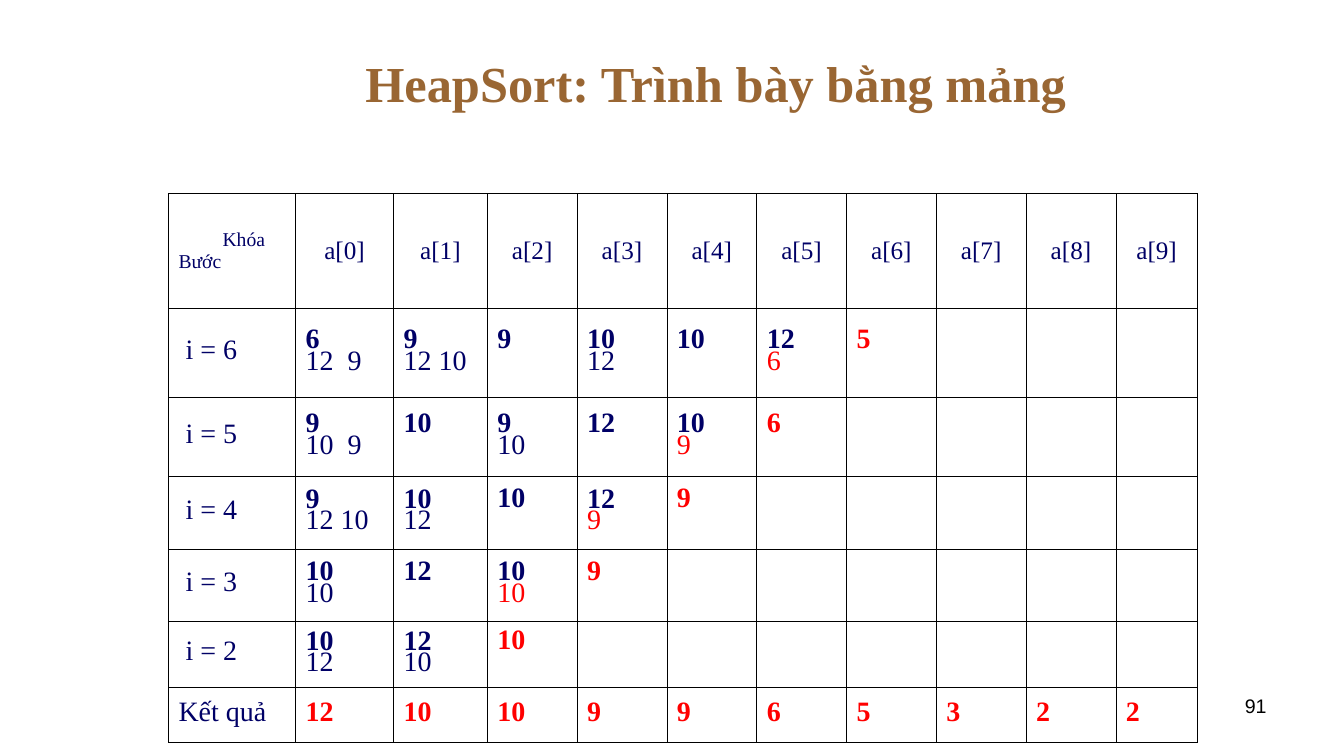
from pptx import Presentation
from pptx.dml.color import RGBColor
from pptx.enum import text
from pptx.oxml import parse_xml
from pptx.oxml.ns import nsdecls
from pptx.util import Pt

COLORS = {"title": "996633", "value": "000066", "sorted": "FF0000", "line": "000000"}
SERIF = "Times New Roman"
LINE_HEIGHT = 16.1  # one 20 pt line at 70 % spacing

COLUMN_WIDTHS = [90.9, 70, 67] + [64.2] * 7 + [58.2]
ROW_HEIGHTS = [81.9, 63.7, 56, 52.2, 51.8, 47, 39.6]

# Step index -> (key, keys it is replaced by while sifting) for each array slot
STEPS = {
    6: [("6", "12\t9"), ("9", "12 10"), ("9", ""), ("10", "12"), ("10", ""), ("12", "6"), ("5", "")],
    5: [("9", "10\t9"), ("10", ""), ("9", "10"), ("12", ""), ("10", "9"), ("6", "")],
    4: [("9", "12 10"), ("10", "12"), ("10", ""), ("12", "9"), ("9", "")],
    3: [("10", "10"), ("12", ""), ("10", "10"), ("9", "")],
    2: [("10", "12"), ("12", "10"), ("10", "")],
}
RESULT = ["12", "10", "10", "9", "9", "6", "5", "3", "2", "2"]


def add_run(paragraph, words, size, color, bold=False, font=SERIF):
    run = paragraph.add_run()
    run.text = words
    run.font.name = font
    run.font.size = Pt(size)
    run.font.bold = bold
    run.font.color.rgb = RGBColor.from_string(COLORS[color])


def format_cell(cell):
    """Thin black borders, no fill, vertically centred content."""
    properties = cell._tc.get_or_add_tcPr()
    for side in ("lnL", "lnR", "lnT", "lnB"):
        properties.append(parse_xml(
            f'<a:{side} {nsdecls("a")} w="{Pt(0.45)}"><a:solidFill>'
            f'<a:srgbClr val="{COLORS["line"]}"/></a:solidFill></a:{side}>'))
    cell.fill.background()
    cell.vertical_anchor = text.MSO_ANCHOR.MIDDLE
    cell.margin_left = cell.margin_right = Pt(7.2)
    cell.margin_top = cell.margin_bottom = Pt(3.6)


def add_key(paragraph, words, color="value", bold=False):
    paragraph.line_spacing = 0.7
    if "\t" in words:
        paragraph._p.get_or_add_pPr().append(parse_xml(
            f'<a:tabLst {nsdecls("a")}><a:tab pos="{Pt(30)}" algn="l"/></a:tabLst>'))
    add_run(paragraph, words, 20, color, bold)


def fill_header(cells):
    corner = cells[0].text_frame.paragraphs[0]
    corner._p.get_or_add_pPr().set("indent", str(Pt(31.5)))
    add_run(corner, "Khóa", 14, "value")
    corner.add_line_break()
    add_run(corner, "Bước", 14, "value")
    for slot, cell in enumerate(cells[1:]):
        paragraph = cell.text_frame.paragraphs[0]
        paragraph.alignment = text.PP_ALIGN.CENTER
        add_run(paragraph, f"a[{slot}]", 18, "value")


def fill_step(cells, step, slots):
    label = cells[0].text_frame.paragraphs[0]
    label._p.get_or_add_pPr().set("marL", str(Pt(5)))
    add_key(label, f"i = {step}")
    for slot, (key, replaced) in enumerate(slots):
        cell = cells[slot + 1]
        add_key(cell.text_frame.paragraphs[0], key, "sorted" if slot == step else "value", True)
        if replaced:
            moved_last = slot == step - 1 and step > 2
            add_key(cell.text_frame.add_paragraph(), replaced, "sorted" if moved_last else "value")
        else:  # keep the key level with those that have a second line
            cell.margin_bottom = Pt(3.6 + LINE_HEIGHT)


def fill_result(cells):
    add_key(cells[0].text_frame.paragraphs[0], "Kết quả")
    for cell, key in zip(cells[1:], RESULT):
        add_key(cell.text_frame.paragraphs[0], key, "sorted", True)


def add_title(slide):
    title = slide.shapes.title
    title.left, title.top, title.width, title.height = Pt(120), Pt(21.6), Pt(792), Pt(74.2)
    title.text_frame.vertical_anchor = text.MSO_ANCHOR.MIDDLE
    paragraph = title.text_frame.paragraphs[0]
    paragraph.alignment = text.PP_ALIGN.CENTER
    add_run(paragraph, "HeapSort: Trình bày bằng mảng ", 36, "title", True)


def add_heap_table(slide):
    table = slide.shapes.add_table(
        len(ROW_HEIGHTS), len(COLUMN_WIDTHS), Pt(120.4), Pt(138.4),
        Pt(sum(COLUMN_WIDTHS)), Pt(sum(ROW_HEIGHTS))).table
    table.first_row = table.horz_banding = False
    for column, width in zip(table.columns, COLUMN_WIDTHS):
        column.width = Pt(width)
    for row, height in zip(table.rows, ROW_HEIGHTS):
        row.height = Pt(height)
    for cell in table.iter_cells():
        format_cell(cell)

    rows = [list(row.cells) for row in table.rows]
    fill_header(rows[0])
    for cells, (step, slots) in zip(rows[1:], STEPS.items()):
        fill_step(cells, step, slots)
    fill_result(rows[-1])


def add_page_number(slide):
    frame = slide.shapes.add_textbox(Pt(688.3), Pt(491.8), Pt(224), Pt(37.4)).text_frame
    frame.word_wrap = True
    paragraph = frame.paragraphs[0]
    paragraph.alignment = text.PP_ALIGN.RIGHT
    add_run(paragraph, "91", 14, "line", font="Arial")


def main():
    deck = Presentation()
    deck.slide_width, deck.slide_height = Pt(960.5), Pt(540)
    slide = deck.slides.add_slide(deck.slide_layouts[5])
    add_title(slide)
    add_heap_table(slide)
    add_page_number(slide)
    deck.save("out.pptx")


if __name__ == "__main__":
    main()
